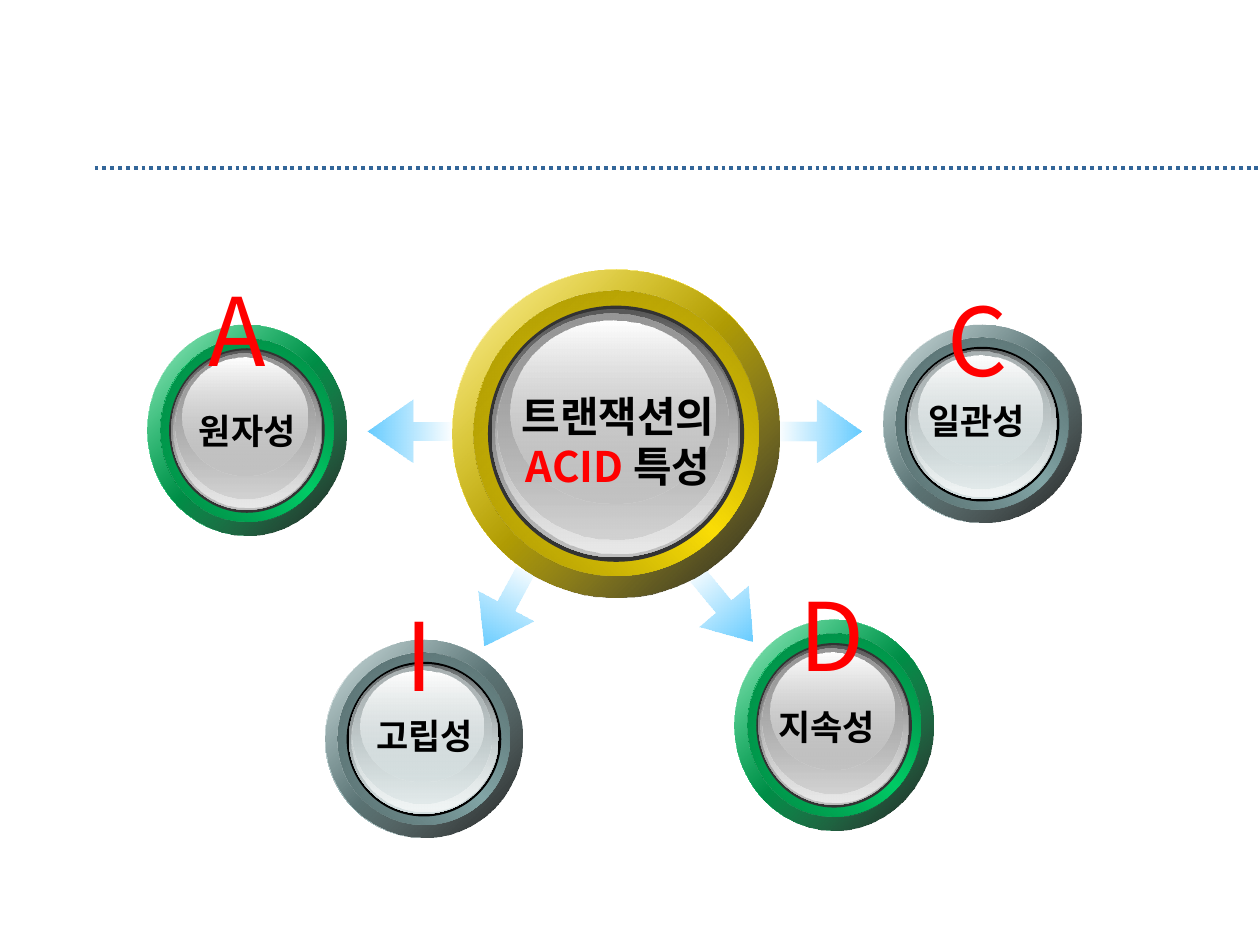
"""Build a slide showing the four ACID properties around a central button."""
from lxml import etree
from pptx import Presentation
from pptx.dml.color import RGBColor
from pptx.enum.dml import MSO_LINE
from pptx.enum.shapes import MSO_CONNECTOR, MSO_SHAPE
from pptx.enum.text import MSO_AUTO_SIZE, PP_ALIGN
from pptx.oxml.ns import qn
from pptx.util import Inches, Pt

ELLIPSE = MSO_SHAPE.OVAL
LEFT_ARROW = MSO_SHAPE.LEFT_ARROW
STRAIGHT = MSO_CONNECTOR.STRAIGHT
DOTTED = MSO_LINE.ROUND_DOT
GROW = MSO_AUTO_SIZE.SHAPE_TO_FIT_TEXT
CENTER = PP_ALIGN.CENTER
LEFT = PP_ALIGN.LEFT
FONT = "Noto Sans CJK KR"
BLACK, RED, WHITE = "000000", "FF0000", "FFFFFF"


def paint(shape, stops, angle):
    """Fill a shape with (position, colour, opacity) stops, or one plain colour."""
    shape.shadow.inherit = False
    shape.line.fill.background()
    if len(stops) == 1:
        shape.fill.solid()
        shape.fill.fore_color.rgb = RGBColor.from_string(stops[0][1])
        return
    gradient = etree.Element(qn("a:gradFill"), rotWithShape="1")
    stop_list = etree.SubElement(gradient, qn("a:gsLst"))
    for position, color, opacity in stops:
        stop = etree.SubElement(stop_list, qn("a:gs"), pos=str(position * 1000))
        value = etree.SubElement(stop, qn("a:srgbClr"), val=color)
        if opacity < 100:
            etree.SubElement(value, qn("a:alpha"), val=str(opacity * 1000))
    etree.SubElement(gradient, qn("a:lin"), ang=str(angle * 60000), scaled="0")
    shape._element.spPr.find(qn("a:prstGeom")).addnext(gradient)


def add_label(slide, box, lines, size, bold, alignment):
    """Add an unwrapped text box; each line is a list of (text, colour) runs."""
    frame = slide.shapes.add_textbox(*map(Inches, box)).text_frame
    frame.word_wrap = False
    frame.auto_size = GROW
    for index, runs in enumerate(lines):
        paragraph = frame.add_paragraph() if index else frame.paragraphs[0]
        paragraph.alignment = alignment
        paragraph.font.size = Pt(size)
        paragraph.font.bold = bold
        paragraph.font.name = FONT
        properties = paragraph._p.get_or_add_pPr().get_or_add_defRPr()
        etree.SubElement(properties, qn("a:ea"), typeface=FONT)
        for text, color in runs:
            run = paragraph.add_run()
            run.text = text
            run.font.color.rgb = RGBColor.from_string(color)


presentation = Presentation()
presentation.slide_width, presentation.slide_height = Inches(10), Inches(7.5)
slide = presentation.slides.add_slide(presentation.slide_layouts[6])

rule = slide.shapes.add_connector(STRAIGHT, Inches(0.75), Inches(1.33), Inches(10), Inches(1.33))
rule.line.color.rgb = RGBColor.from_string("336699")
rule.line.width = Pt(2.25)
rule.line.dash_style = DOTTED
etree.SubElement(rule._element.spPr, qn("a:effectLst"))

for left, top, rotation in [(6.17, 3.17, 180), (3.67, 4.58, 298.6), (2.92, 3.17, 0), (5.42, 4.58, 230.3)]:
    arrow = slide.shapes.add_shape(LEFT_ARROW, Inches(left), Inches(top), Inches(0.67), Inches(0.5))
    arrow.adjustments[0], arrow.adjustments[1] = 0.31, 0.72
    arrow.rotation = rotation
    paint(arrow, [(0, "66CCFF", 100), (100, "66CCFF", 0)], 0)

# ring, ring shade, bevel shade, rim, glass, glass dark, glass light, glass shade
silver = ("C0C0C0", "333333", "595959", "E9E9E9", "989898")
gray = ("83A6A7", "475A5A", "53696A", "D6E1E2", BLACK, "636869", "F1F5F5", "AAB2B3")
green = ("00CC66", "006E37", "008241", *silver)
gold = ("FCDF06", "887903", "A08E04", *silver)
buttons = [
    (2.58, 5.08, 1.57, 1.57, gray),
    (1.17, 2.58, 1.58, 1.67, green),
    (3.59, 2.14, 2.6, 2.6, gold),
    (7.01, 2.58, 1.57, 1.57, gray),
    (5.83, 4.92, 1.58, 1.67, green),
]
for left, top, width, height, palette in buttons:
    ring, ring_shade, bevel_shade, glass, rim, glass_dark, glass_light, glass_shade = palette
    layers = [
        (0, 0, 100, 100, 45, [(0, WHITE, 100), (50, ring, 100), (100, WHITE, 100)]),
        (0, 0, 100, 100, 45, [(0, ring, 32), (100, BLACK, 90)]),
        (6.5, 6.5, 87, 87, 315, [(0, ring_shade, 100), (50, ring, 100), (100, ring_shade, 100)]),
        (6.4, 6.3, 87, 87, 45, [(0, bevel_shade, 100), (100, ring, 0)]),
        (10.9, 11, 78.2, 78.2, 0, [(0, rim, 100)]),
        (12, 12, 75.8, 75.8, 90, [(0, glass_dark, 100), (100, glass, 100)]),
        (13.1, 12.7, 73.9, 73.9, 90, [(0, glass, 0), (100, glass_light, 100)]),
        (13.9, 13.5, 70.4, 69, 90, [(0, glass_shade, 100), (100, glass, 48)]),
        (17.9, 15.4, 62.4, 55.9, 90, [(0, WHITE, 100), (100, glass, 38)]),
    ]
    button = slide.shapes.add_group_shape()
    for x, y, across, down, angle, stops in layers:
        disc = button.shapes.add_shape(
            ELLIPSE,
            Inches(left + width * x / 100),
            Inches(top + height * y / 100),
            Inches(width * across / 100),
            Inches(height * down / 100),
        )
        paint(disc, stops, angle)

title_lines = [[("트랜잭션의", BLACK)], [("ACID ", RED), ("특성", BLACK)]]
add_label(slide, (3.98, 3.05, 1.85, 0.91), title_lines, 24, True, CENTER)
for text, left, top in [("원자성", 1.48, 3.2), ("고립성", 2.89, 5.62), ("일관성", 7.27, 3.12), ("지속성", 6.08, 5.55)]:
    add_label(slide, (left, top, 1.03, 0.44), [[(text, BLACK)]], 20, True, LEFT)
for text, left, top, width in [("A", 1.56, 2.11, 0.8), ("C", 7.42, 2.19, 0.8), ("I", 3.12, 4.69, 0.49), ("D", 6.25, 4.53, 0.8)]:
    add_label(slide, (left, top, width, 1.01), [[(text, RED)]], 54, False, LEFT)

presentation.save("out.pptx")
